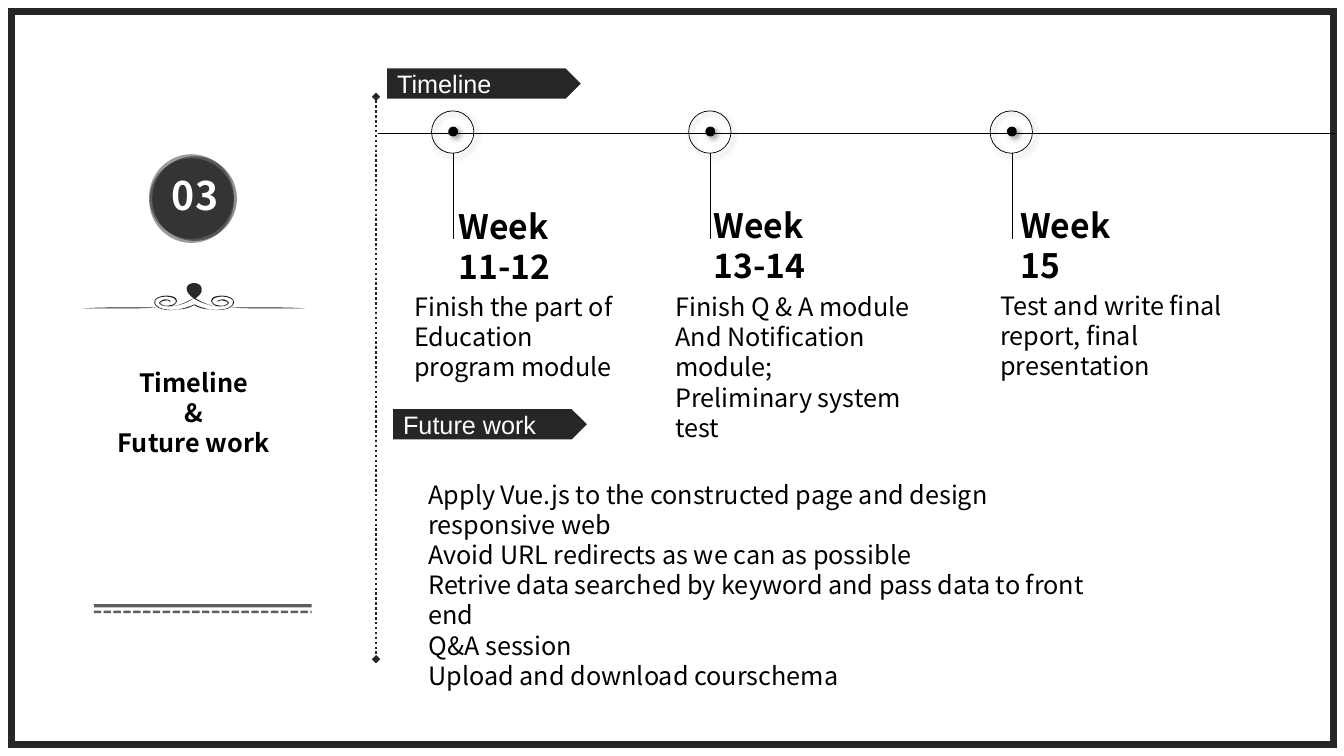
"""Build the timeline and future work slide, measured at 100 px to the inch."""
from lxml import etree
from pptx import Presentation
from pptx import util as u
from pptx.dml.color import RGBColor
from pptx.enum import dml, shapes, text
from pptx.oxml.ns import qn

SCALE = 9144
AXIS = 385
FONT = "Noto Sans CJK SC"
COLORS = {"black": "000000", "white": "FFFFFF", "dark": "262626", "gray": "404040"}

BUD = [(192, 296), (188, 293, 185, 290, 185, 286), (186, 279, 199, 279, 200, 286),
       (201, 290, 198, 293, 194, 296), (199, 299, 206, 303, 215, 304),
       (207, 303, 198, 300, 192, 296), (187, 300, 179, 303, 170, 304),
       (179, 303, 186, 299, 192, 296)]
RULE = [(266, 306), (255, 306, 242, 306, 230, 305), (243, 305, 255, 305, 266, 305),
        (278, 305, 290, 305, 303, 306), (290, 306, 266, 306, 266, 306)]
HALF_SCROLL = [(193, 303), (196, 305, 202, 307, 208, 307), (228, 310, 235, 302, 231, 297),
               (229, 294, 221, 292, 214, 294), (207, 296, 208, 302, 216, 304),
               (220, 304, 225, 304, 227, 301), (228, 300, 225, 298, 222, 297),
               (218, 297, 215, 298, 216, 300), (216, 300, 217, 298, 219, 298),
               (223, 298, 227, 300, 226, 301), (224, 303, 220, 304, 217, 303),
               (209, 302, 208, 297, 215, 295), (221, 293, 229, 295, 231, 298),
               (233, 303, 226, 309, 208, 307), (203, 306, 196, 304, 193, 302)]

MILESTONES = [
    (450, 445, 199, ["Week 11-12"], (401, 284, 229, 131),
     ["Finish the part of Education program module"]),
    (705, 698, 198, ["Week 13-14"], (660, 284, 284, 162),
     ["Finish Q & A module", "And Notification module;", "Preliminary system test"]),
    (1004, 1002, 198, ["Week", "15"], (982, 283, 287, 71),
     ["Test and write final report, final presentation"]),
]
FUTURE_WORK = [
    "Apply Vue.js to the constructed page and design responsive\u00a0web",
    "Avoid URL redirects as we can as possible",
    "Retrive data searched by keyword and pass data to front end",
    "Q&A session",
    "Upload and download courschema",
]


def px(*lengths):
    return [u.Emu(length * SCALE) for length in lengths]


def rgb(name):
    return RGBColor.from_string(COLORS[name])


def add_alpha(parent, percent):
    color = next(parent.iter(qn("a:srgbClr")))
    etree.SubElement(color, qn("a:alpha"), val=str(percent * 1000))


def write(box, lines, size=18, bold=False, color="black", font=FONT,
          align=text.PP_ALIGN.LEFT, anchor=text.MSO_ANCHOR.TOP):
    frame = box.text_frame
    frame.word_wrap = True
    frame.auto_size = text.MSO_AUTO_SIZE.NONE
    frame.vertical_anchor = anchor
    for index, line in enumerate(lines):
        para = frame.add_paragraph() if index else frame.paragraphs[0]
        para.alignment = align
        para.space_before = para.space_after = u.Pt(0)
        if font == FONT:
            para.line_spacing = u.Pt(round(size * 1.2, 1))
        span = para.add_run()
        span.text = line
        span.font.size, span.font.bold, span.font.name = u.Pt(size), bold, font
        span.font.color.rgb = rgb(color)
        etree.SubElement(span.font._element, qn("a:ea"), typeface=font)


def add_text(page, at, lines, **style):
    write(page.shapes.add_textbox(*px(*at)), lines, **style)


def fill_placeholder(holder, at, lines, **style):
    holder.left, holder.top, holder.width, holder.height = px(*at)
    write(holder, lines, **style)
    for para in holder.text_frame.paragraphs:
        props = para._p.get_or_add_pPr()
        props.set("marL", "0")
        props.set("indent", "0")
        etree.SubElement(props, qn("a:buNone"))


def paint(shape, fill=None, opacity=100, line=None, weight=0.5):
    shape.shadow.inherit = False
    if fill:
        shape.fill.solid()
        shape.fill.fore_color.rgb = rgb(fill)
        if opacity < 100:
            add_alpha(shape._element.spPr, opacity)
    else:
        shape.fill.background()
    if line:
        shape.line.color.rgb = rgb(line)
        shape.line.width = u.Pt(weight)
        etree.SubElement(shape._element.spPr.find(qn("a:ln")), qn("a:miter"), lim="800000")
    else:
        shape.line.fill.background()


def add_shape(page, kind, at, **style):
    shape = page.shapes.add_shape(kind, *px(*at))
    paint(shape, **style)
    return shape


def add_line(page, start, end, color="black", weight=0.5, dash=None, opacity=100, ends=None):
    line = page.shapes.add_connector(shapes.MSO_CONNECTOR.STRAIGHT, *px(*start, *end))
    line.line.color.rgb = rgb(color)
    line.line.width = u.Pt(weight)
    if dash:
        line.line.dash_style = dash
    props = line._element.spPr
    if opacity < 100:
        add_alpha(props, opacity)
    if ends:
        for tag in ("a:headEnd", "a:tailEnd"):
            etree.SubElement(props.find(qn("a:ln")), qn(tag), type=ends)
    etree.SubElement(props, qn("a:effectLst"))


def pairs(node):
    return list(zip(node[::2], node[1::2]))


def mirror(outline):
    return [tuple(v if i % 2 else AXIS - v for i, v in enumerate(node)) for node in outline]


def both_halves(half):
    back = [point for node in mirror(half) for point in pairs(node)][::-1]
    return half + [sum(back[i:i + 3], ()) for i in range(1, len(back), 3)]


def add_curve(page, outline):
    builder = page.shapes.build_freeform(*px(*outline[0]), scale=1.0)
    builder.add_line_segments([px(*node[-2:]) for node in outline[1:]], close=True)
    shape = builder.convert_to_shape()
    segments = list(shape._element.spPr.iter(qn("a:lnTo")))
    for segment, node in zip(segments, outline[1:]):
        segment.tag = qn("a:cubicBezTo")
        segment.remove(segment[0])
        for x, y in pairs(px(*node)):
            etree.SubElement(segment, qn("a:pt"), x=str(x - shape.left), y=str(y - shape.top))
    paint(shape, fill="black", opacity=84)


def add_ring(page, left, top, size, fill=None):
    ring = add_shape(page, shapes.MSO_SHAPE.OVAL, (left, top, size, size), fill=fill, line="black")
    effects = ring._element.spPr.find(qn("a:effectLst"))
    shadow = etree.SubElement(effects, qn("a:outerShdw"), blurRad=str(u.Pt(4)),
                              dist=str(u.Pt(3)), dir="2700000", algn="tl", rotWithShape="0")
    etree.SubElement(shadow, qn("a:srgbClr"), val=COLORS["black"])
    add_alpha(shadow, 40)


def add_milestone(page, center, week_left, week_top, week, at, tasks):
    add_ring(page, center - 22, 110, 42)
    add_ring(page, center - 5, 126, 9, fill="black")
    add_line(page, (center, 152), (center, 237))
    add_text(page, (week_left, week_top, 149, 91), week, size=24, bold=True)
    add_text(page, at, tasks)


def add_banner(page, left, top, label):
    banner = add_shape(page, shapes.MSO_SHAPE.PENTAGON, (left, top, 192, 30), fill="dark")
    write(banner, [label], color="white", font="Arial", anchor=text.MSO_ANCHOR.MIDDLE)


def add_sidebar(page):
    for left, top, opacity in ((148, 153, 39), (151, 155, 44), (148, 157, 40)):
        add_shape(page, shapes.MSO_SHAPE.OVAL, (left, top, 84, 84), fill="black", opacity=opacity)
    add_text(page, (137, 165, 113, 57), ["03"], size=28, bold=True, color="white",
             align=text.PP_ALIGN.CENTER)
    add_line(page, (93, 607), (309, 607), "gray", 1.75, dml.MSO_LINE.SQUARE_DOT, 83)
    add_line(page, (93, 601), (309, 601), "gray", 2.25, opacity=83)
    for outline in (BUD, RULE, mirror(RULE), both_halves(HALF_SCROLL)):
        add_curve(page, outline)


def main():
    deck = Presentation()
    deck.slide_width, deck.slide_height = px(1333, 750)
    page = deck.slides.add_slide(deck.slide_layouts[1])
    fill_placeholder(page.shapes.title, (78, 359, 228, 101),
                     ["Timeline", "&", "Future work"], bold=True, align=text.PP_ALIGN.CENTER)
    fill_placeholder(page.placeholders[1], (415, 470, 715, 192), FUTURE_WORK)
    add_shape(page, shapes.MSO_SHAPE.RECTANGLE, (11, 11, 1312, 728), line="dark", weight=5)
    add_line(page, (373, 96), (373, 654), "dark", 1.75, dml.MSO_LINE.ROUND_DOT, ends="diamond")
    add_sidebar(page)
    add_line(page, (375, 132), (1324, 132))
    for milestone in MILESTONES:
        add_milestone(page, *milestone)
    add_banner(page, 384, 68, "Timeline")
    add_banner(page, 390, 406, "Future work")
    deck.save("out.pptx")


if __name__ == "__main__":
    main()
